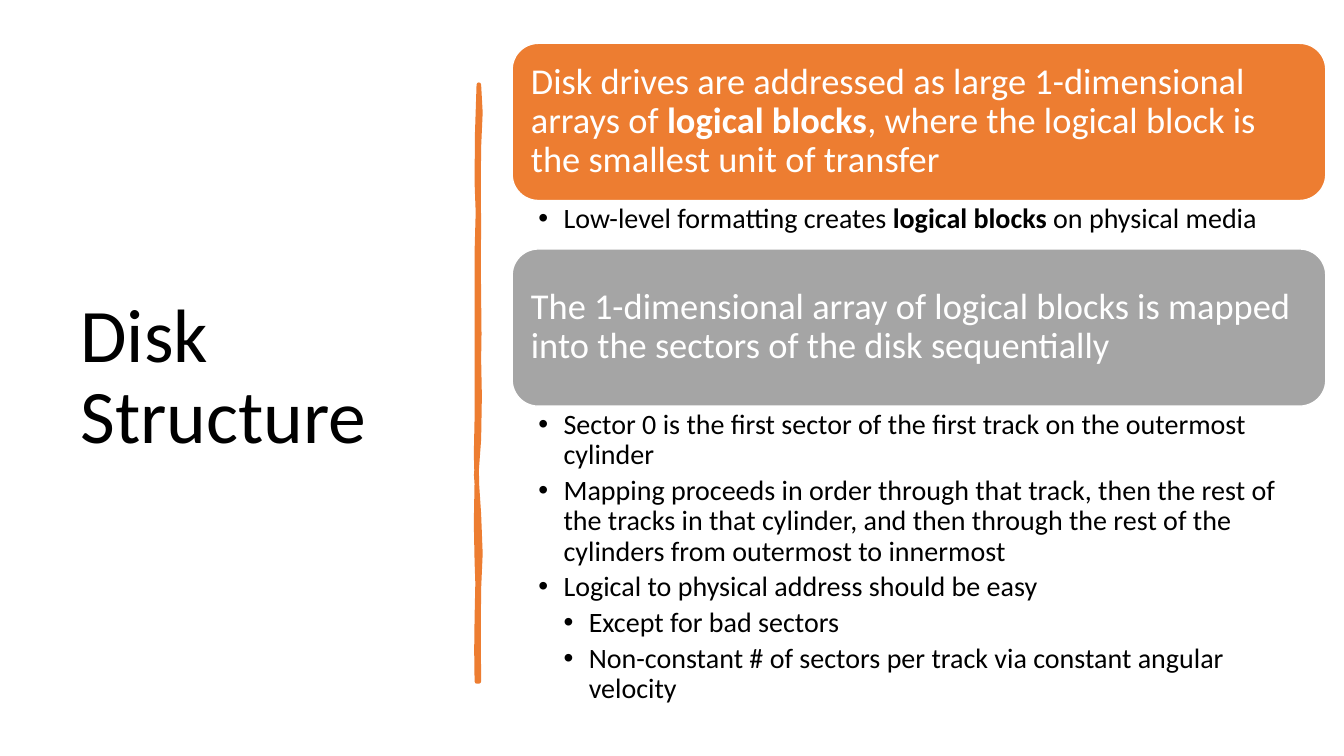
from pptx import Presentation
from pptx.dml.color import RGBColor
from pptx.enum.shapes import MSO_SHAPE
from pptx.enum.text import MSO_ANCHOR, PP_ALIGN
from pptx.oxml.ns import qn
from pptx.util import Inches, Pt
from lxml.etree import SubElement

ORANGE = RGBColor(0xED, 0x7D, 0x31)
GRAY = RGBColor(0xA5, 0xA5, 0xA5)
WHITE = RGBColor(0xFF, 0xFF, 0xFF)
BLACK = RGBColor(0, 0, 0)
FONT = "Calibri"

TITLE = [(0, [("Disk Structure", False)])]
SECTIONS = [
    (ORANGE, 0.48,
     [(0, [("Disk drives are addressed as large 1-dimensional arrays of ", False),
           ("logical blocks", True),
           (", where the logical block is the smallest unit of transfer", False)])],
     [(1, [("Low-level formatting creates ", False),
           ("logical blocks ", True),
           ("on physical media", False)])]),
    (GRAY, 3.12,
     [(0, [("The 1-dimensional array of logical blocks is mapped into the "
            "sectors of the disk sequentially", False)])],
     [(1, [("Sector 0 is the first sector of the first track on the outermost "
            "cylinder", False)]),
      (1, [("Mapping proceeds in order through that track, then the rest of the "
            "tracks in that cylinder, and then through the rest of the cylinders "
            "from outermost to innermost", False)]),
      (1, [("Logical to physical address should be easy", False)]),
      (2, [("Except for bad sectors", False)]),
      (2, [("Non-constant # of sectors per track via constant angular velocity",
            False)])]),
]

RULE_TOP = 0.84
RULE_EDGES = [
    (4.75, RULE_TOP, [
        (4.77, 1.02, 4.77, 1.19, 1.46), (4.73, 1.73, 4.76, 1.95, 2.26),
        (4.74, 2.57, 4.75, 2.62, 2.94), (4.74, 3.25, 4.77, 3.42, 3.56),
        (4.73, 3.7, 4.79, 4.14, 4.36), (4.71, 4.57, 4.72, 4.84, 5.1),
        (4.77, 5.36, 4.77, 5.64, 5.84), (4.73, 6.03, 4.76, 6.5, 6.76)]),
    (4.73, 6.76, [
        (4.74, 6.46, 4.71, 6.44, 6.13), (4.74, 5.83, 4.74, 5.7, 5.57),
        (4.72, 5.44, 4.72, 4.95, 4.77), (4.73, 4.59, 4.71, 4.45, 4.15),
        (4.74, 3.86, 4.72, 3.73, 3.35), (4.74, 2.98, 4.72, 2.81, 2.5),
        (4.74, 2.18, 4.75, 2, 1.81), (4.7, 1.63, 4.77, 1.04, RULE_TOP)]),
]
STEPS = 2

CARD_LEFT, CARD_TOP, CARD_W, CARD_H = 5.08, 0.43, 8.07, 1.56
INDENT = 0.25


def write(s, paragraphs, size, color, insets, anchor=MSO_ANCHOR.TOP, after=0):
    tf = s.text_frame
    tf.word_wrap = True
    tf.vertical_anchor = anchor
    tf.margin_left, tf.margin_top, tf.margin_right, tf.margin_bottom = map(Inches, insets)
    for i, (level, runs) in enumerate(paragraphs):
        p = tf.paragraphs[0] if i == 0 else tf.add_paragraph()
        p.alignment = PP_ALIGN.LEFT
        p.line_spacing = 0.9
        p.space_after = Pt(after)
        if level:
            p.level = level
            pPr = p._p.get_or_add_pPr()
            pPr.set("marL", str(Inches(INDENT * level)))
            pPr.set("indent", str(-Inches(INDENT)))
            SubElement(pPr, qn("a:buFont")).set("typeface", "Arial")
            SubElement(pPr, qn("a:buChar")).set("char", "•")
        for text, bold in runs:
            r = p.add_run()
            r.text = text
            r.font.name = FONT
            r.font.size = Pt(size)
            r.font.bold = bold
            r.font.color.rgb = color


def edge_points(x, y, curves):
    points = [(x, y)]
    for x1, y1, x2, y2, end in curves:
        for k in range(1, STEPS + 1):
            t = k / STEPS
            a, b, c, d = (1 - t) ** 3, 3 * t * (1 - t) ** 2, 3 * t * t * (1 - t), t ** 3
            points.append(((a + d) * x + b * x1 + c * x2,
                           a * y + b * y1 + c * y2 + d * end))
        y = end
    return points


def paint(s, fill, line, width):
    s.shadow.inherit = False
    s.fill.solid()
    s.fill.fore_color.rgb = fill
    s.line.color.rgb = line
    s.line.width = Pt(width)


prs = Presentation()
prs.slide_width, prs.slide_height = Inches(13.33), Inches(7.5)
slide = prs.slides.add_slide(prs.slide_layouts[6])
shapes = slide.shapes

title = shapes.add_textbox(Inches(0.7), Inches(0.7), Inches(3.74), Inches(6.11))
write(title, TITLE, 54, BLACK, (0.1, 0.05, 0.1, 0.05), anchor=MSO_ANCHOR.MIDDLE)

outline = [(Inches(x), Inches(y)) for edge in RULE_EDGES for x, y in edge_points(*edge)]
builder = shapes.build_freeform(*outline[0])
builder.add_line_segments(outline[1:-1], close=True)
rule = builder.convert_to_shape()
paint(rule, ORANGE, ORANGE, 3.25)
SubElement(rule.line._get_or_add_ln(), qn("a:round"))

top = CARD_TOP
for color, list_h, heading, bullets in SECTIONS:
    card = shapes.add_shape(MSO_SHAPE.ROUNDED_RECTANGLE, Inches(CARD_LEFT), Inches(top),
                            Inches(CARD_W), Inches(CARD_H))
    paint(card, color, WHITE, 1)
    write(card, heading, 26, WHITE, (0.11, 0.11, 0.11, 0.11), anchor=MSO_ANCHOR.MIDDLE)
    top += CARD_H
    details = shapes.add_textbox(Inches(CARD_LEFT), Inches(top), Inches(CARD_W), Inches(list_h))
    write(details, bullets, 20, BLACK, (0.26, 0.04, 0.2, 0.04), after=4)
    top += list_h

prs.save("out.pptx")
